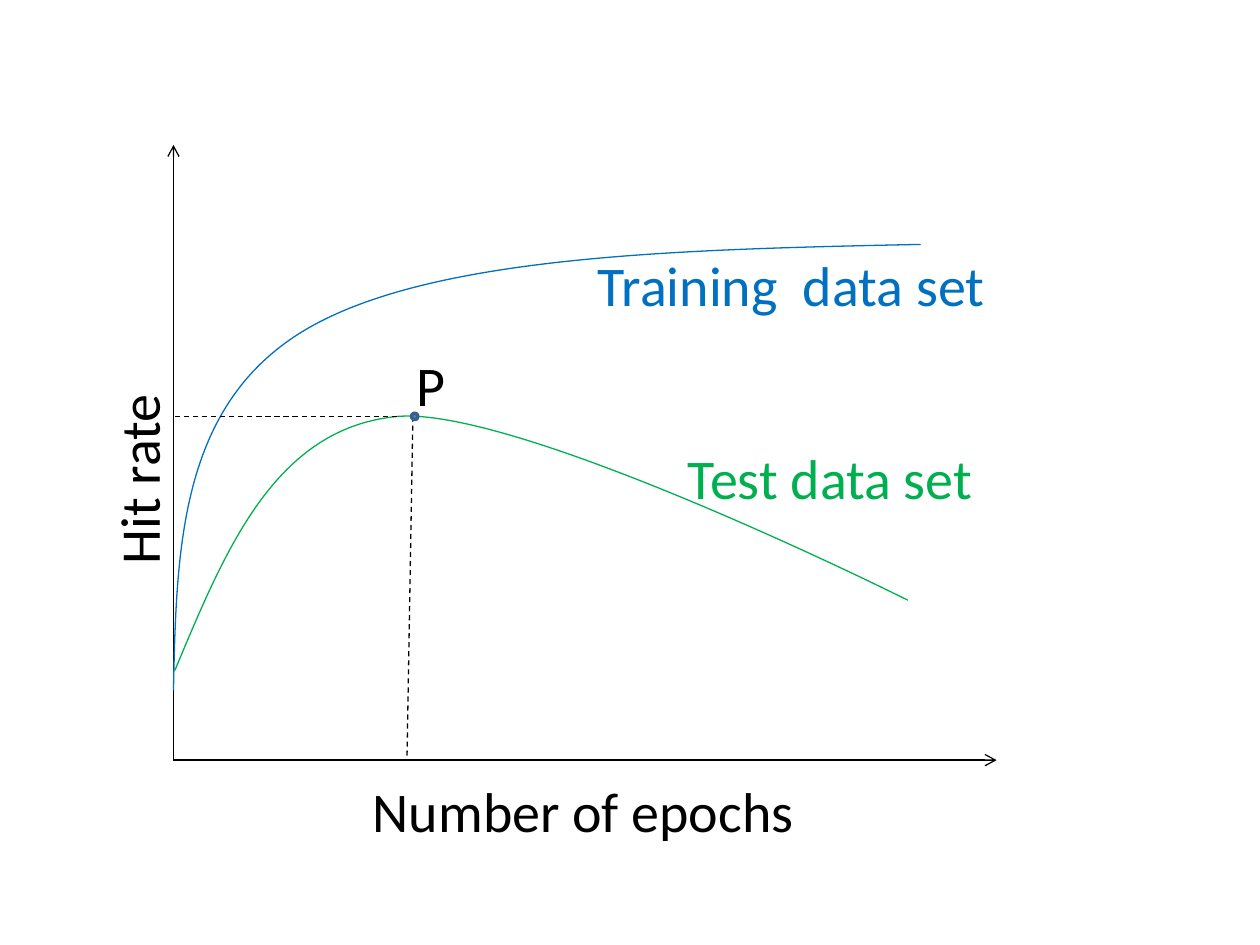
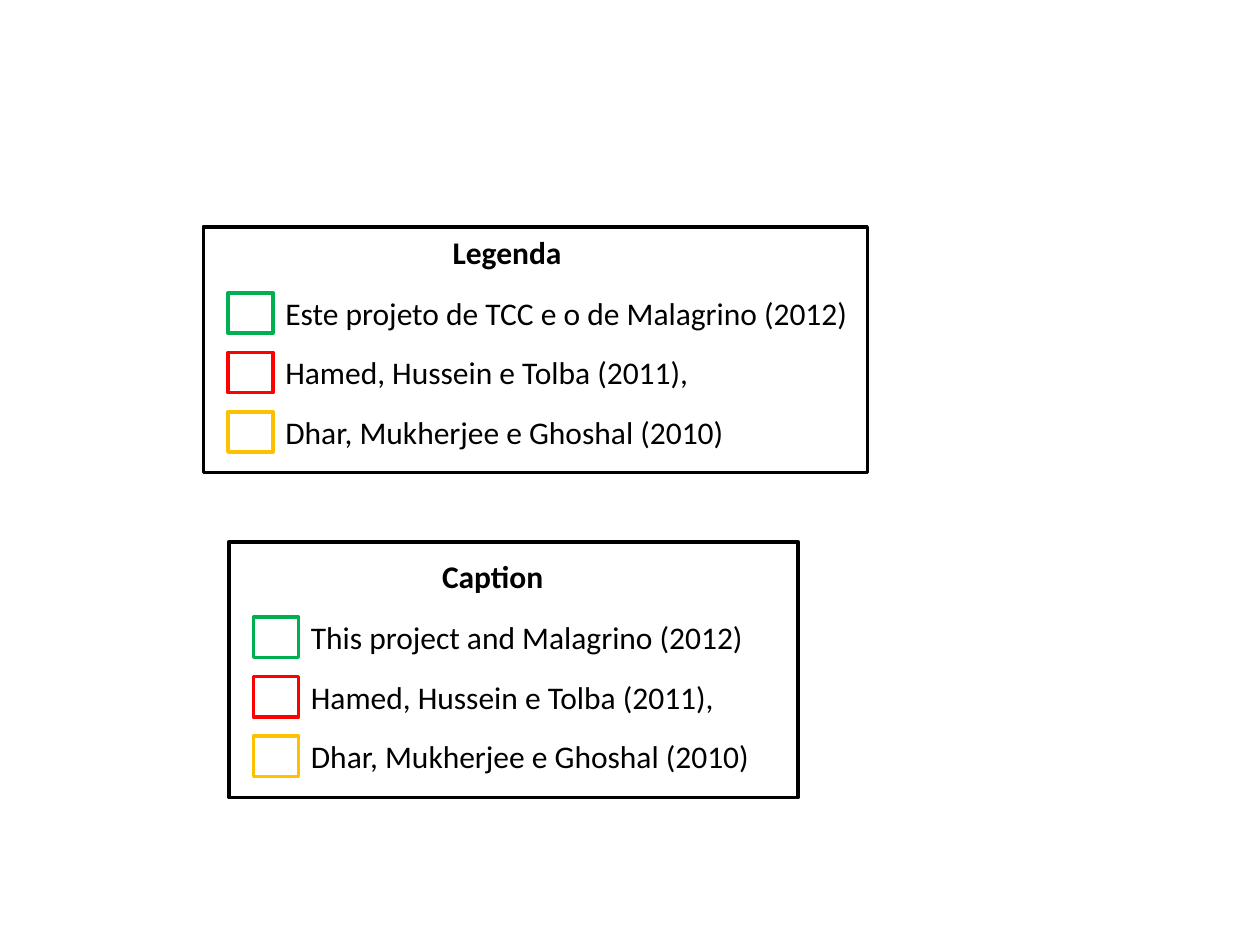
from dataclasses import dataclass
from typing import Any

from lxml.etree import SubElement
from pptx import Presentation
from pptx.dml.color import RGBColor as Rgb
from pptx.enum.dml import MSO_LINE_DASH_STYLE as Dash
from pptx.enum.shapes import MSO_CONNECTOR_TYPE as Link, MSO_SHAPE as Form
from pptx.enum.text import MSO_AUTO_SIZE as Fit
from pptx.oxml.ns import qn
from pptx.util import Inches, Pt

WIDTH, HEIGHT = Inches(10), Inches(7.5)
COL, ROW = WIDTH / 100, HEIGHT / 75
HUES = {
    "ink": "000000", "green": "00B050", "blue": "0070C0", "red": "FF0000",
    "gold": "FFC000", "dot": "4F81BD", "rim": "3A5F8C",
}
BIG = {"name": "Calibri", "size": Pt(32)}
SMALL = {"name": "Calibri", "size": Pt(18)}
BOLD = {**SMALL, "bold": True}
THIN, THICK = 0.75, 2
Point = tuple[float, float]


@dataclass(frozen=True)
class Label:
    """A line of text and its box in columns and rows."""
    text: str
    x: float
    y: float
    w: float
    h: float
    font: dict[str, Any]
    hue: str = "ink"
    turn: int = 0


@dataclass(frozen=True)
class Rule:
    """A straight line with an optional arrowhead or dash."""
    start: Point
    end: Point
    arrow: bool = False
    dash: bool = False


@dataclass(frozen=True)
class Curve:
    """A chain of cubic arcs, three points after each knot."""
    hue: str
    knots: tuple[Point, ...]


@dataclass(frozen=True)
class Legend:
    """A framed key with a title and one swatch for each entry."""
    x: float
    y: float
    w: float
    h: float
    drop: float
    title: Label
    rows: tuple[tuple[str, float], ...]


ORIGIN = (13.77, 60.33)
PEAK = 33.06
AXES = (
    Rule(ORIGIN, (ORIGIN[0], 11.5), arrow=True),
    Rule(ORIGIN, (79.1, ORIGIN[1]), arrow=True),
)
GUIDES = (
    Rule((13.9, PEAK), (31.6, PEAK), dash=True),
    Rule((32.77, PEAK), (32.3, ORIGIN[1]), dash=True),
)
CURVES = (
    Curve("green", ((13.88, 53.2), (17.9, 43.6), (21.8, 34), (31.5, PEAK),
                    (41.2, 32.2), (72.05, 47.64), (72.05, 47.64))),
    Curve("blue", ((13.77, 54.8), (14, 43.4), (14.3, 32.1), (24.2, 26.2),
                   (34.1, 20.3), (53.6, 19.8), (73.07, 19.4))),
)
LABELS = (
    Label("Hit rate", 3.1, 34.74, 15.7, 6.4, BIG, turn=270),
    Label("Number of epochs", 28.6, 61.14, 35.8, 6.4, BIG),
    Label("Test data set", 53.6, 34.7, 24.8, 6.4, BIG, "green"),
    Label("Training  data set", 46.46, 19.36, 33.1, 6.4, BIG, "blue"),
)
MARK = Label("P", 32.05, 27.3, 4.3, 6.4, BIG)
SWATCH = (3.57, 3.2)
INSET, PITCH, LIFT = 1.95, 4.72, 0.4
KEYS = ("green", "red", "gold")
SHARED = (("Hamed, Hussein e Tolba (2011),", 35),
          ("Dhar, Mukherjee e Ghoshal (2010)", 37.2))
LEGENDS = (
    Legend(16.14, 18, 52.7, 19.5, 5.24,
           Label("Legenda", 34.94, 18, 10.7, 4, BOLD),
           (("Este projeto de TCC e o de Malagrino (2012)", 47.2), *SHARED)),
    Legend(18.17, 43, 45.18, 20.3, 5.98,
           Label("Caption", 34.1, 43.7, 10.1, 4, BOLD),
           (("This project and Malagrino (2012)", 36.7), *SHARED)),
)


def spot(x: float, y: float) -> tuple[int, int]:
    """Turn columns and rows into slide lengths."""
    return round(x * COL), round(y * ROW)


def ink(line: Any, hue: str, width: float) -> None:
    """Set the colour and width of a line."""
    line.color.rgb = Rgb.from_string(HUES[hue])
    line.width = Pt(width)


def write(slide: Any, label: Label) -> None:
    """Draw a text box."""
    box = slide.shapes.add_textbox(*spot(label.x, label.y), *spot(label.w, label.h))
    box.rotation = label.turn
    frame = box.text_frame
    frame.word_wrap = False
    frame.auto_size = Fit.SHAPE_TO_FIT_TEXT
    run = frame.paragraphs[0].add_run()
    run.text = label.text
    for name, value in label.font.items():
        setattr(run.font, name, value)
    run.font.color.rgb = Rgb.from_string(HUES[label.hue])


def rule(slide: Any, item: Rule) -> None:
    """Draw a straight line."""
    link = slide.shapes.add_connector(Link.STRAIGHT, *spot(*item.start), *spot(*item.end))
    ink(link.line, "ink", THIN)
    if item.dash:
        link.line.dash_style = Dash.DASH
    props = link._element.spPr
    if item.arrow:
        SubElement(props.find(qn("a:ln")), qn("a:tailEnd"), type="arrow")
    SubElement(props, qn("a:effectLst"))


def sweep(slide: Any, curve: Curve) -> None:
    """Draw an open outline and bend its segments into cubic arcs."""
    points = [spot(*knot) for knot in curve.knots]
    pen = slide.shapes.build_freeform(*points[0])
    pen.add_line_segments(points[3::3], close=False)
    shape = pen.convert_to_shape()
    for i, side in enumerate(list(shape._element.iter(qn("a:lnTo")))):
        arc = SubElement(side.getparent(), qn("a:cubicBezTo"))
        for x, y in points[3 * i + 1:3 * i + 4]:
            SubElement(arc, qn("a:pt"), x=str(x - shape.left), y=str(y - shape.top))
        side.getparent().replace(side, arc)
    shape.shadow.inherit = False
    shape.fill.background()
    ink(shape.line, curve.hue, THIN)


def block(slide: Any, form: Form, at: Point, size: Point, hue: str, fill: str = "") -> None:
    """Draw a preset shape with a thick outline."""
    shape = slide.shapes.add_shape(form, *spot(*at), *spot(*size))
    shape.shadow.inherit = False
    if fill:
        shape.fill.solid()
        shape.fill.fore_color.rgb = Rgb.from_string(HUES[fill])
    else:
        shape.fill.background()
    ink(shape.line, hue, THICK)


def legend(slide: Any, key: Legend) -> None:
    """Draw a framed key."""
    block(slide, Form.RECTANGLE, (key.x, key.y), (key.w, key.h), "ink")
    left = key.x + INSET
    tops = [key.y + key.drop + i * PITCH for i in range(len(KEYS))]
    for hue, top in zip(KEYS, tops):
        block(slide, Form.RECTANGLE, (left, top), SWATCH, hue)
    write(slide, key.title)
    for (text, width), top in zip(key.rows, tops):
        write(slide, Label(text, left + SWATCH[0], top - LIFT, width, 4, SMALL))


def graph(slide: Any) -> None:
    """Draw the hit rate curves."""
    for axis in AXES:
        rule(slide, axis)
    for curve in CURVES:
        sweep(slide, curve)
    for label in LABELS:
        write(slide, label)
    for guide in GUIDES:
        rule(slide, guide)
    block(slide, Form.OVAL, (32.66, 32.8), (0.5, 0.5), "rim", "dot")
    write(slide, MARK)


def main() -> None:
    """Build and save both slides."""
    deck = Presentation()
    deck.slide_width, deck.slide_height = WIDTH, HEIGHT
    blank = deck.slide_layouts[6]
    graph(deck.slides.add_slide(blank))
    keys = deck.slides.add_slide(blank)
    for key in LEGENDS:
        legend(keys, key)
    deck.save("out.pptx")


if __name__ == "__main__":
    main()
